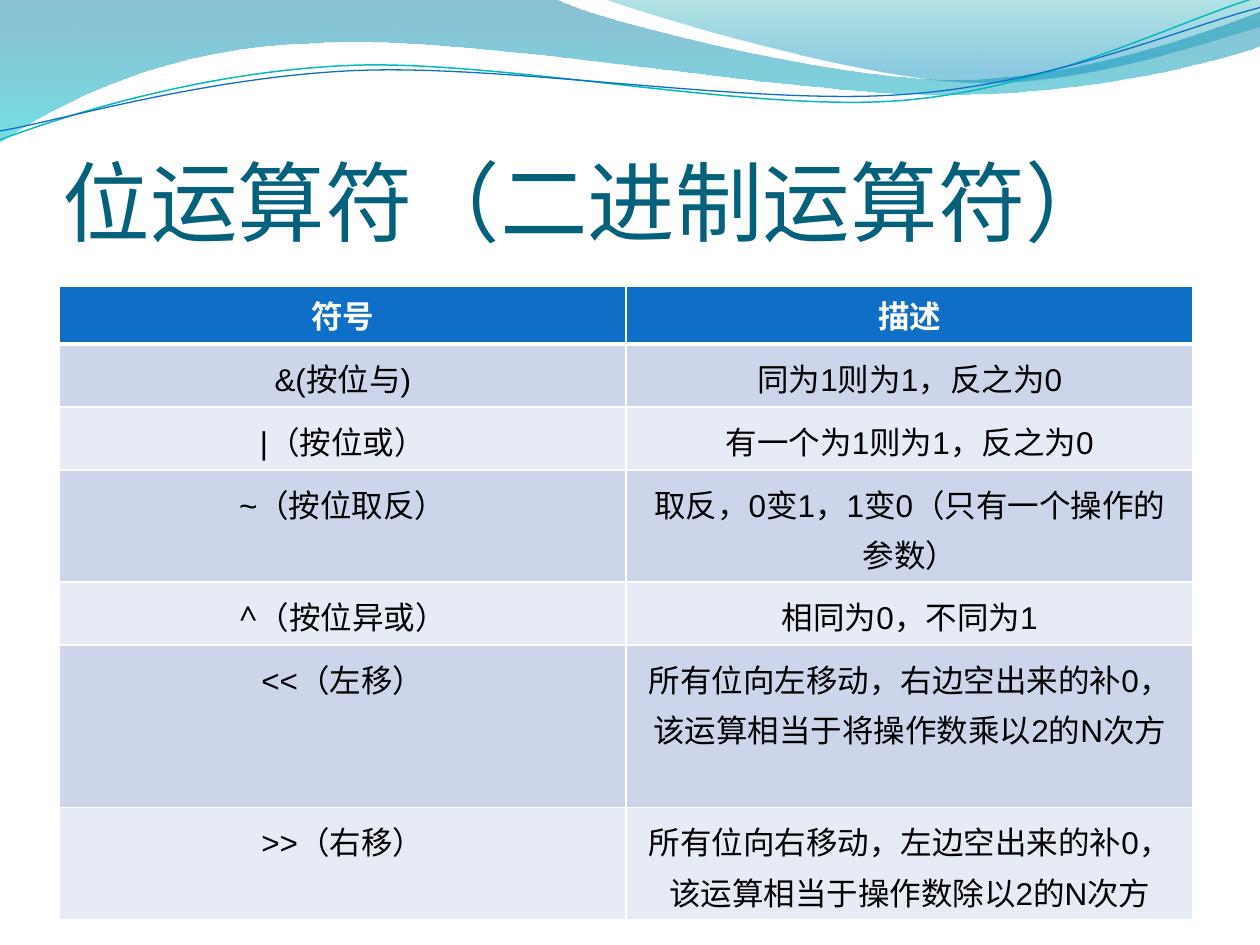
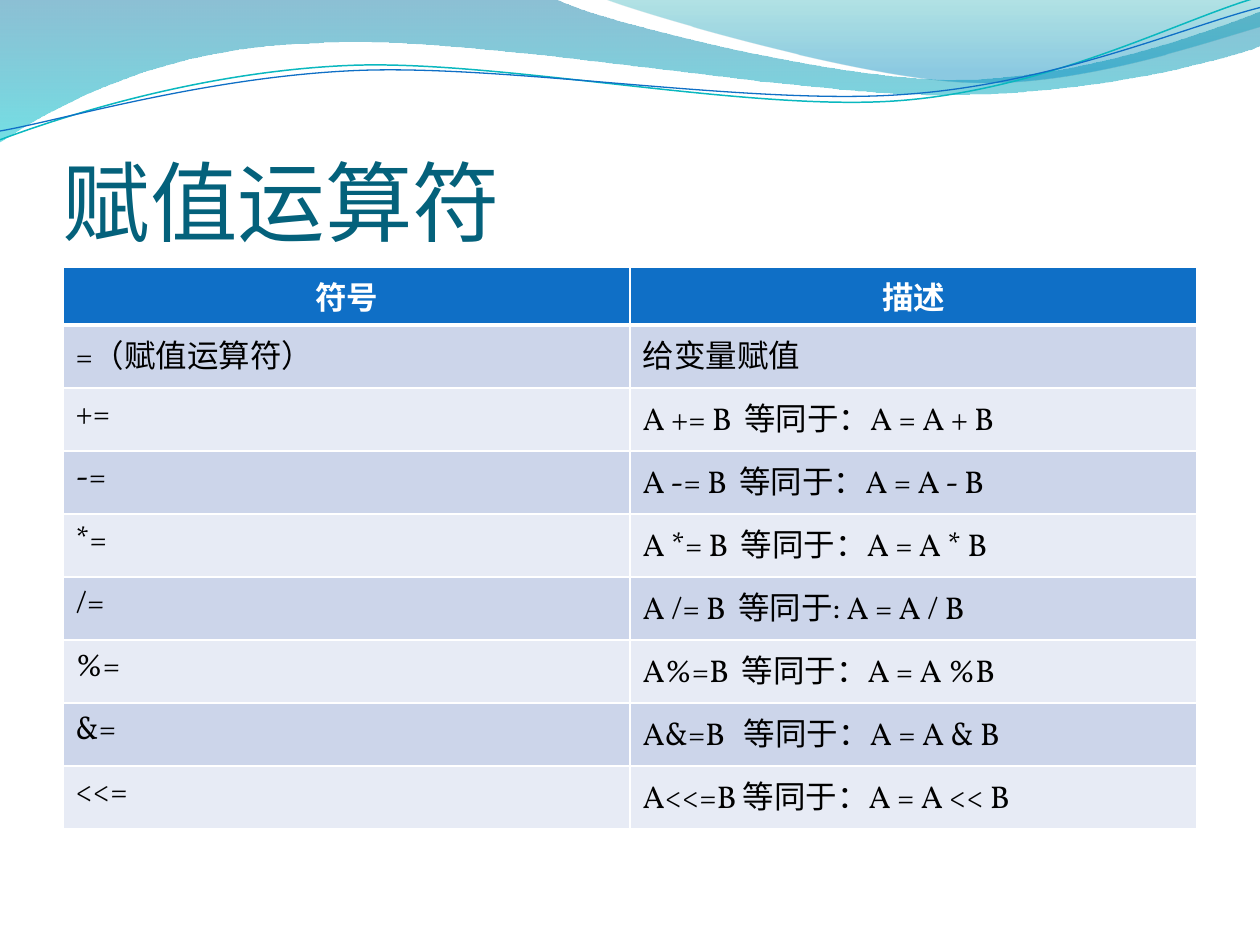
from lxml import etree
from pptx import Presentation
from pptx.dml.color import RGBColor
from pptx.enum.text import MSO_ANCHOR, PP_ALIGN
from pptx.oxml.ns import qn
from pptx.util import Inches, Pt

BOTTOM = MSO_ANCHOR.BOTTOM
LEFT, CENTER = PP_ALIGN.LEFT, PP_ALIGN.CENTER

HUES = {
    "title": "04617B", "head": "0F6FC6", "odd": "CCD5EA", "even": "E7EBF5",
    "white": "FFFFFF", "black": "000000", "teal": "0AB8BF",
}

# Each wave: start point, then points (2 numbers) or cubic curves (6 numbers)
BANDS = [
    {"start": (0, 0),
     "parts": [(4.4, -0.01), (4.76, 0.17, 6.64, 0.63, 7.58, 0.63),
               (8.53, 0.63, 9.58, 0.26, 10, 0.09), (10.01, 0.36),
               (9.83, 0.44, 8.7, 0.76, 7.46, 0.75),
               (6.22, 0.75, 3.82, 0.28, 2.57, 0.34),
               (1.29, 0.36, 0.46, 0.83, -0.01, 1.13)],
     "stops": [(0, "0074A1", 45), (1, "00C6CF", 55)]},
    {"start": (4.79, -0.01),
     "parts": [(5.09, 0.11, 6.82, 0.62, 7.69, 0.65),
               (8.56, 0.69, 9.61, 0.32, 10, 0.21), (10, 0)],
     "stops": [(0, "00A1A9", 30), (0.8, "008BBF", 45)]},
    {"start": (0, 1.11),
     "parts": [(0.48, 0.93, 1.58, 0.57, 2.77, 0.52),
               (3.95, 0.47, 5.93, 0.89, 7.13, 0.8),
               (8.33, 0.71, 9.38, 0.15, 9.98, -0.02)],
     "line": ("teal", 0.85)},
    {"start": (0, 1.04),
     "parts": [(0.47, 0.96, 1.64, 0.61, 2.83, 0.56),
               (4.03, 0.51, 5.97, 0.84, 7.17, 0.75),
               (8.36, 0.67, 9.41, 0.21, 10, 0.06)],
     "line": ("head", 0.75)},
]

HEADER = ("符号", "描述")
PAGES = [
    {"title": "位运算符（二进制运算符）", "at": (0.47, 2.27),
     "heights": [0.46, 0.5, 0.5, 0.89, 0.5, 1.29, 0.89],
     "font": "Arial", "para": {"alignment": CENTER, "line_spacing": 1.1},
     "rows": [
         ("&(按位与)", "同为1则为1，反之为0"),
         ("|（按位或）", "有一个为1则为1，反之为0"),
         ("~（按位取反）", "取反，0变1，1变0（只有一个操作的参数）"),
         ("^（按位异或）", "相同为0，不同为1"),
         ("<<（左移）", "所有位向左移动，右边空出来的补0，该运算相当于将操作数乘以2的N次方"),
         (">>（右移）", "所有位向右移动，左边空出来的补0，该运算相当于操作数除以2的N次方"),
     ]},
    {"title": "赋值运算符", "at": (0.5, 2.12), "heights": [0.46] + [0.5] * 8,
     "font": "Vollkorn", "para": {"alignment": LEFT},
     "rows": [
         ("=（赋值运算符）", "给变量赋值"),
         ("+=", "A += B  等同于：A = A + B"),
         ("-=", "A -= B  等同于：A = A - B"),
         ("*=", "A *= B  等同于：A = A * B"),
         ("/=", "A /= B  等同于: A = A / B"),
         ("%=", "A%=B  等同于：A = A %B"),
         ("&=", "A&=B   等同于：A = A & B"),
         ("<<=", "A<<=B 等同于：A = A << B"),
     ]},
]


def draw(shapes, start, parts, close):
    """Build a freeform, then turn each run of three legs into a cubic curve."""
    pen = shapes.build_freeform(Inches(start[0]), Inches(start[1]))
    for part in parts:
        pairs = zip(part[::2], part[1::2])
        pen.add_line_segments([(Inches(x), Inches(y)) for x, y in pairs], close=False)
    if close:
        pen.add_line_segments([], close=True)
    wave = pen.convert_to_shape()
    legs = iter(wave.element.xpath(".//a:lnTo"))
    for part in parts:
        leg = next(legs)
        if len(part) == 6:
            leg.addprevious(curve := etree.Element(qn("a:cubicBezTo")))
            for bend in (leg, next(legs), next(legs)):
                curve.append(bend[0])
                bend.getparent().remove(bend)
    wave.shadow.inherit = False
    return wave


def write(para, text, size, font, hue, bold=False):
    run = para.add_run()
    run.text = text
    style = {"size": Pt(size), "name": font, "bold": bold}
    for key, value in style.items():
        setattr(run.font, key, value)
    run.font.color.rgb = RGBColor.from_string(HUES[hue])


deck = Presentation()
deck.slide_width, deck.slide_height = Inches(10), Inches(7.5)

for page in PAGES:
    slide = deck.slides.add_slide(deck.slide_layouts[6])

    for band in BANDS:
        wave = draw(slide.shapes, band["start"], band["parts"], "stops" in band)
        if "line" in band:
            hue, width = band["line"]
            wave.fill.background()
            wave.line.color.rgb = RGBColor.from_string(HUES[hue])
            wave.line.width = Pt(width)
            continue
        wave.line.fill.background()
        wave.fill.gradient()
        wave.fill.gradient_angle = 270
        for stop, (place, tint, solid) in zip(wave.fill.gradient_stops, band["stops"]):
            stop.position = place
            stop.color.rgb = RGBColor.from_string(tint)
        tints = wave.element.xpath(".//a:gs/a:srgbClr")
        for node, (place, tint, solid) in zip(tints, band["stops"]):
            etree.SubElement(node, qn("a:alpha"), val=str(solid * 1000))

    box = slide.shapes.add_textbox(Inches(0.5), Inches(0.76), Inches(9), Inches(1.25))
    frame = {"word_wrap": True, "vertical_anchor": BOTTOM, "margin_left": 0,
             "margin_top": Inches(0.05), "margin_right": 0, "margin_bottom": 0}
    for key, value in frame.items():
        setattr(box.text_frame, key, value)
    write(box.text_frame.paragraphs[0], page["title"], 50, "Calibri", "title")

    rows = [HEADER] + page["rows"]
    left, top = page["at"]
    grid = slide.shapes.add_table(len(rows), 2, Inches(left), Inches(top), Inches(9),
                                  Inches(sum(page["heights"]))).table
    for row, high in zip(grid.rows, page["heights"]):
        row.height = Inches(high)

    for r, row in enumerate(rows):
        head = r == 0
        for c, text in enumerate(row):
            cell = grid.cell(r, c)
            props = cell._tc.get_or_add_tcPr()
            for side in "LRTB":
                thick = (head and side == "B") or (r == 1 and side == "T")
                edge = etree.SubElement(props, qn("a:ln" + side),
                                        w=str(Pt(3 if thick else 1)))
                paint = etree.SubElement(edge, qn("a:solidFill"))
                etree.SubElement(paint, qn("a:srgbClr"), val=HUES["white"])
            cell.fill.solid()
            shade = "head" if head else ("even", "odd")[r % 2]
            cell.fill.fore_color.rgb = RGBColor.from_string(HUES[shade])

            para = cell.text_frame.paragraphs[0]
            for key, value in ({"alignment": CENTER} if head else page["para"]).items():
                setattr(para, key, value)
            if head:
                write(para, text, 18, "Vollkorn", "white", True)
                continue
            if text.startswith("^"):
                write(para, "^", 18, "Noto Sans Mono", "black")
                text = text[1:]
            write(para, text, 18, page["font"], "black")

deck.save("out.pptx")
